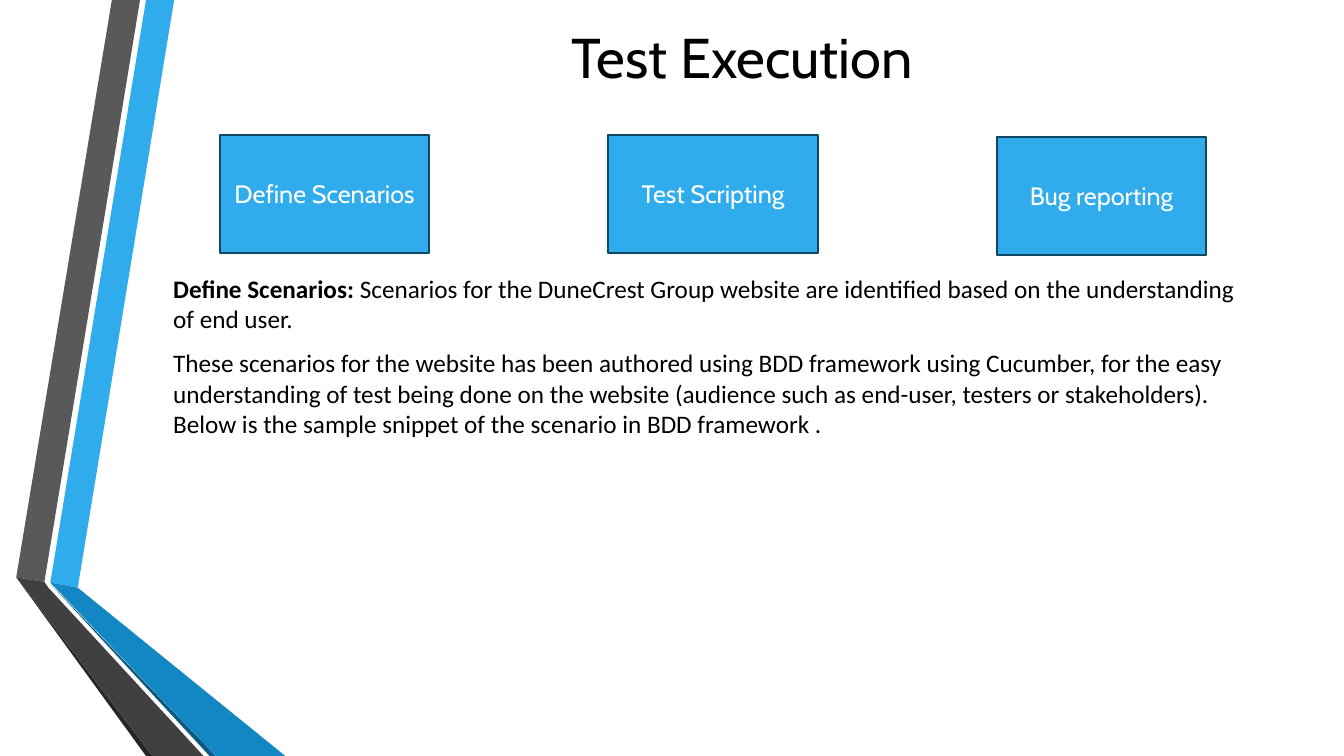
"""Build the Test Execution slide with its ribbon, three steps and notes."""
import pptx
import pptx.util
import pptx.dml.color
import pptx.enum.shapes
import pptx.enum.text
import pptx.oxml

Cm = pptx.util.Cm
Pt = pptx.util.Pt
RGBColor = pptx.dml.color.RGBColor
ALIGN = pptx.enum.text.PP_ALIGN
ANCHOR = pptx.enum.text.MSO_ANCHOR

BLUE = RGBColor(0x30, 0xAC, 0xEC)
MID = RGBColor(0x12, 0x87, 0xC3)
DEEP = RGBColor(0x0C, 0x5A, 0x82)
EDGE = RGBColor(0x0E, 0x46, 0x63)
GREY = RGBColor(0x59, 0x59, 0x59)
DARK = RGBColor(0x40, 0x40, 0x40)
COAL = RGBColor(0x26, 0x26, 0x26)
BLACK = RGBColor(0, 0, 0)
WHITE = RGBColor(0xFF, 0xFF, 0xFF)


def style(run, font, size, color, bold=False):
    run.font.name = font
    run.font.size = Pt(size)
    run.font.color.rgb = color
    run.font.bold = bold


def place(shape, left, top, width, height):
    shape.left, shape.top = Cm(left), Cm(top)
    shape.width, shape.height = Cm(width), Cm(height)


deck = pptx.Presentation()
deck.slide_width, deck.slide_height = Cm(33.87), Cm(19.05)
slide = deck.slides.add_slide(deck.slide_layouts[1])
shapes = slide.shapes

ribbon = [
    (BLUE, [(1.27, 14.68), (1.96, 14.81), (4.39, 0), (3.68, 0)]),
    (GREY, [(3.53, 0), (2.82, 0), (0.41, 14.55), (1.12, 14.66)]),
    (COAL, [(0.41, 14.55), (3.68, 19.05), (3.84, 19.05)]),
    (DEEP, [(1.27, 14.71), (5.28, 19.05), (5.44, 19.05)]),
    (MID, [(1.27, 14.68), (5.44, 19.05), (7.19, 19.05), (1.96, 14.81)]),
    (DARK, [(5.13, 19.05), (1.22, 14.81), (1.12, 14.66), (0.41, 14.55),
            (3.84, 19.05)]),
]
for color, points in ribbon:
    dots = [(Cm(x), Cm(y)) for x, y in points]
    pen = shapes.build_freeform(*dots[0])
    pen.add_line_segments(dots[1:], close=True)
    band = pen.convert_to_shape()
    band.shadow.inherit = False
    band.fill.solid()
    band.fill.fore_color.rgb = color
    band.line.fill.background()

title = shapes.title
place(title, 4.11, 0.43, 29.18, 1.98)
title.text_frame.text = "Test Execution"
title.text_frame.vertical_anchor = ANCHOR.MIDDLE
title.text_frame.paragraphs[0].alignment = ALIGN.CENTER
style(title.text_frame.paragraphs[0].runs[0], "Cabin", 40, BLACK)

steps = [("Define Scenarios", 3.4), ("Test Scripting", 3.4), ("Bug reporting", 3.45)]
for i, (label, top) in enumerate(steps):
    box = shapes.add_shape(pptx.enum.shapes.MSO_SHAPE.RECTANGLE,
                           Cm(5.54 + 9.79 * i), Cm(top), Cm(5.28), Cm(2.97))
    box.shadow.inherit = False
    box.fill.solid()
    box.fill.fore_color.rgb = BLUE
    box.line.color.rgb = EDGE
    box.line.width = Pt(1.25)
    box.text_frame.text = label
    box.text_frame.vertical_anchor = ANCHOR.MIDDLE
    box.text_frame.paragraphs[0].alignment = ALIGN.CENTER
    style(box.text_frame.paragraphs[0].runs[0], "Cabin", 18, WHITE)

notes = [
    [("Define Scenarios: ", True),
     ("Scenarios for the DuneCrest Group website are identified based on the "
      "understanding of end user.", False)],
    [("These scenarios for the website has been authored using BDD framework "
      "using Cucumber, for the easy understanding of test being done on the "
      "website (audience such as end-user, testers or stakeholders). Below is "
      "the sample snippet of the scenario in BDD framework .", False)],
]
body = slide.placeholders[1]
place(body, 4.11, 6.76, 27.79, 10.97)
frame = body.text_frame
frame.auto_size = pptx.enum.text.MSO_AUTO_SIZE.NONE
frame.vertical_anchor = ANCHOR.TOP
for i, parts in enumerate(notes):
    para = frame.add_paragraph() if i else frame.paragraphs[0]
    para.space_before, para.space_after = Pt(4), Pt(6)
    props = para._p.get_or_add_pPr()
    props.set("marL", "0")
    props.set("indent", "0")
    props.append(pptx.oxml.parse_xml(
        '<a:buNone xmlns:a="http://schemas.openxmlformats.org/drawingml/2006/main"/>'))
    for words, bold in parts:
        run = para.add_run()
        run.text = words
        style(run, "Calibri", 18, BLACK, bold)

deck.save("out.pptx")
